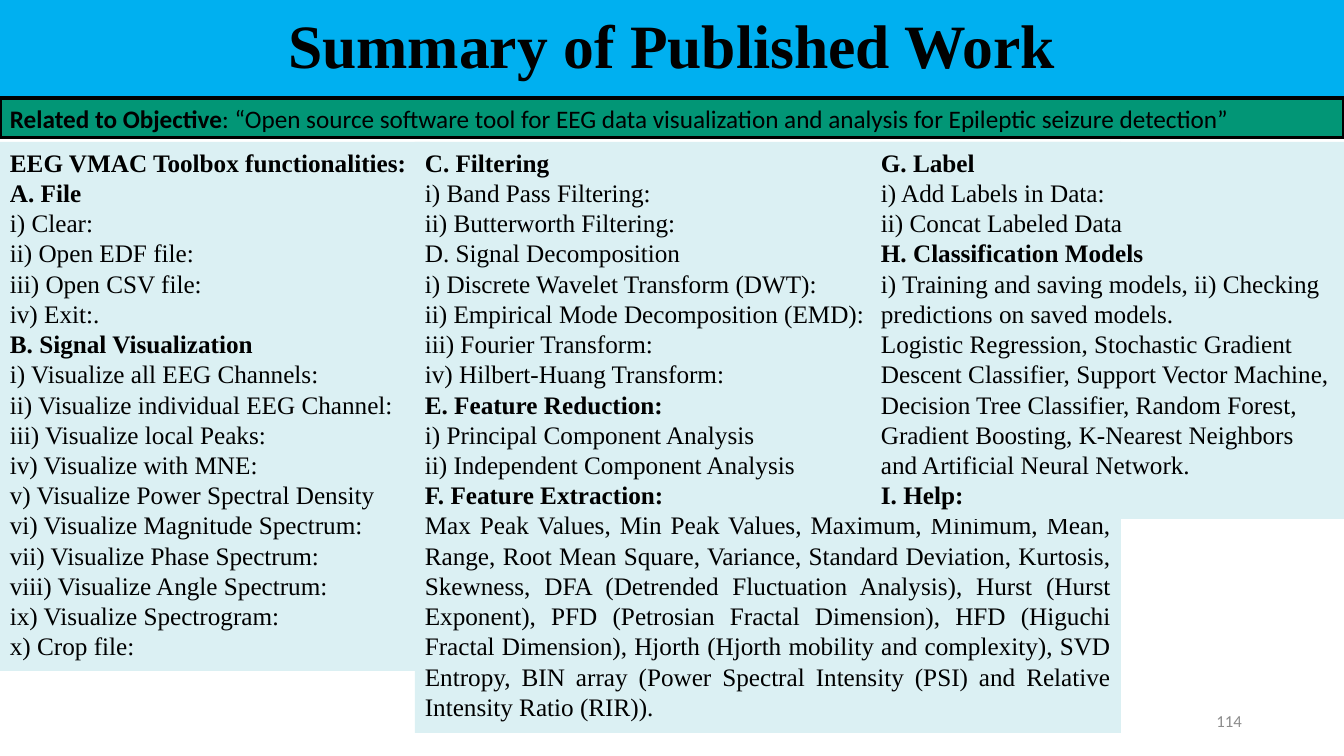
"""Build the slide that summarises published work on the EEG toolbox."""
from pptx import Presentation
from pptx.dml.color import RGBColor
from pptx.enum.shapes import MSO_SHAPE
from pptx.enum.text import MSO_ANCHOR, MSO_AUTO_SIZE, PP_ALIGN
from pptx.util import Pt

RECTANGLE = MSO_SHAPE.RECTANGLE
TOP, MIDDLE = MSO_ANCHOR.TOP, MSO_ANCHOR.MIDDLE
GROW, FIXED = MSO_AUTO_SIZE.SHAPE_TO_FIT_TEXT, MSO_AUTO_SIZE.NONE
LEFT, CENTER, RIGHT, JUSTIFY = PP_ALIGN.LEFT, PP_ALIGN.CENTER, PP_ALIGN.RIGHT, PP_ALIGN.JUSTIFY

EMU_PER_PX = 914400 / 100.8
SLIDE_WIDTH, SLIDE_HEIGHT = 1344, 756
COLUMN_TOP = 142
SERIF, SANS = "Times New Roman", "Calibri"
COLORS = {
    "title": "00B0F0",
    "objective": "029676",
    "column": "DBF0F3",
    "text": "000000",
    "number": "8C8C8C",
}

FEATURES = (
    "Max Peak Values, Min Peak Values, Maximum, Minimum, Mean, Range, Root Mean Square, "
    "Variance, Standard Deviation, Kurtosis, Skewness, DFA (Detrended Fluctuation Analysis), "
    "Hurst (Hurst Exponent), PFD (Petrosian Fractal Dimension), HFD (Higuchi Fractal Dimension), "
    "Hjorth (Hjorth mobility and complexity), SVD Entropy, BIN array (Power Spectral Intensity "
    "(PSI) and Relative Intensity Ratio (RIR))."
)
MODELS = (
    "Logistic Regression, Stochastic Gradient Descent Classifier, Support Vector Machine, "
    "Decision Tree Classifier, Random Forest, Gradient Boosting, K-Nearest Neighbors and "
    "Artificial Neural Network."
)
FILE_COLUMN = [
    ("EEG VMAC Toolbox functionalities:", []),
    ("A. File", ["i) Clear:", "ii) Open EDF file:", "iii) Open CSV file:", "iv) Exit:."]),
    ("B. Signal Visualization", [
        "i) Visualize all EEG Channels:",
        "ii) Visualize individual EEG Channel:",
        "iii) Visualize local Peaks:",
        "iv) Visualize with MNE:",
        "v) Visualize Power Spectral Density",
        "vi) Visualize Magnitude Spectrum:",
        "vii) Visualize Phase Spectrum:",
        "viii) Visualize Angle Spectrum:",
        "ix) Visualize Spectrogram:",
        "x) Crop file:",
    ]),
]
SIGNAL_COLUMN = [
    ("C. Filtering", [
        "i) Band Pass Filtering:",
        "ii) Butterworth Filtering:",
        "D. Signal Decomposition",
        "i) Discrete Wavelet Transform (DWT):",
        "ii) Empirical Mode Decomposition (EMD):",
        "iii) Fourier Transform:",
        "iv) Hilbert-Huang Transform:",
    ]),
    ("E. Feature Reduction:", [
        "i) Principal Component Analysis",
        "ii) Independent Component Analysis",
    ]),
    ("F. Feature Extraction:", [FEATURES]),
]
MODEL_COLUMN = [
    ("G. Label", ["i) Add Labels in Data:", "ii) Concat Labeled Data"]),
    ("H. Classification Models", [
        "i) Training and saving models, ii) Checking predictions on saved models.",
        MODELS,
    ]),
    ("I. Help:", []),
]
COLUMNS = [
    (0, 430, 529, FILE_COLUMN),
    (415, 706, 591, SIGNAL_COLUMN),
    (871, 473, 377, MODEL_COLUMN),
]


def px(*lengths):
    """Turn pixel lengths into EMU."""
    return [round(length * EMU_PER_PX) for length in lengths]


def add_box(slide, box, fill, border=None):
    """Add a filled rectangle with an optional border width in points."""
    shape = slide.shapes.add_shape(RECTANGLE, *px(*box))
    shape.shadow.inherit = False
    shape.fill.solid()
    shape.fill.fore_color.rgb = RGBColor.from_string(COLORS[fill])
    if border:
        shape.line.color.rgb = RGBColor.from_string(COLORS["text"])
        shape.line.width = Pt(border)
    else:
        shape.line.fill.background()
    return shape


def write_text(shape, paragraphs, font=SERIF, size=18, color="text", anchor=TOP,
               align=LEFT, spacing=1.0, fit=GROW):
    """Fill a shape with paragraphs, each a list of (text, bold) runs."""
    frame = shape.text_frame
    frame.word_wrap = True
    frame.auto_size = fit
    frame.vertical_anchor = anchor
    for index, runs in enumerate(paragraphs):
        paragraph = frame.add_paragraph() if index else frame.paragraphs[0]
        paragraph.alignment = align
        paragraph.line_spacing = spacing
        for text, bold in runs:
            run = paragraph.add_run()
            run.text = text
            run.font.name = font
            run.font.size = Pt(size)
            run.font.bold = bold
            run.font.color.rgb = RGBColor.from_string(COLORS[color])
    return frame


def add_column(slide, left, width, height, sections):
    """Add a panel of bold headings, each followed by its plain lines."""
    paragraphs = []
    for heading, lines in sections:
        paragraphs.append([(heading, True)])
        paragraphs += [[(line, False)] for line in lines]
    shape = add_box(slide, (left, COLUMN_TOP, width, height), "column")
    return write_text(shape, paragraphs)


def main():
    """Build and save the slide."""
    presentation = Presentation()
    presentation.slide_width, presentation.slide_height = px(SLIDE_WIDTH, SLIDE_HEIGHT)
    slide = presentation.slides.add_slide(presentation.slide_layouts[6])

    title = add_box(slide, (0, 0, SLIDE_WIDTH, 98), "title")
    write_text(title, [[("Summary of Published Work", True)]], size=44,
               anchor=MIDDLE, align=CENTER, spacing=0.9, fit=FIXED)

    number = slide.shapes.add_textbox(*px(950, 701, 302, 40))
    write_text(number, [[("114", False)]], font=SANS, size=12, color="number",
               anchor=MIDDLE, align=RIGHT, fit=FIXED)

    objective = add_box(slide, (0, 98, SLIDE_WIDTH, 40), "objective", border=2.25)
    write_text(objective, [[
        ("Related to Objective", True),
        (": “Open source software tool for EEG data visualization and analysis "
         "for Epileptic seizure detection”", False),
    ]], font=SANS)

    for left, width, height, sections in COLUMNS:
        frame = add_column(slide, left, width, height, sections)
        if sections is SIGNAL_COLUMN:
            frame.paragraphs[-1].alignment = JUSTIFY

    presentation.save("out.pptx")


if __name__ == "__main__":
    main()
